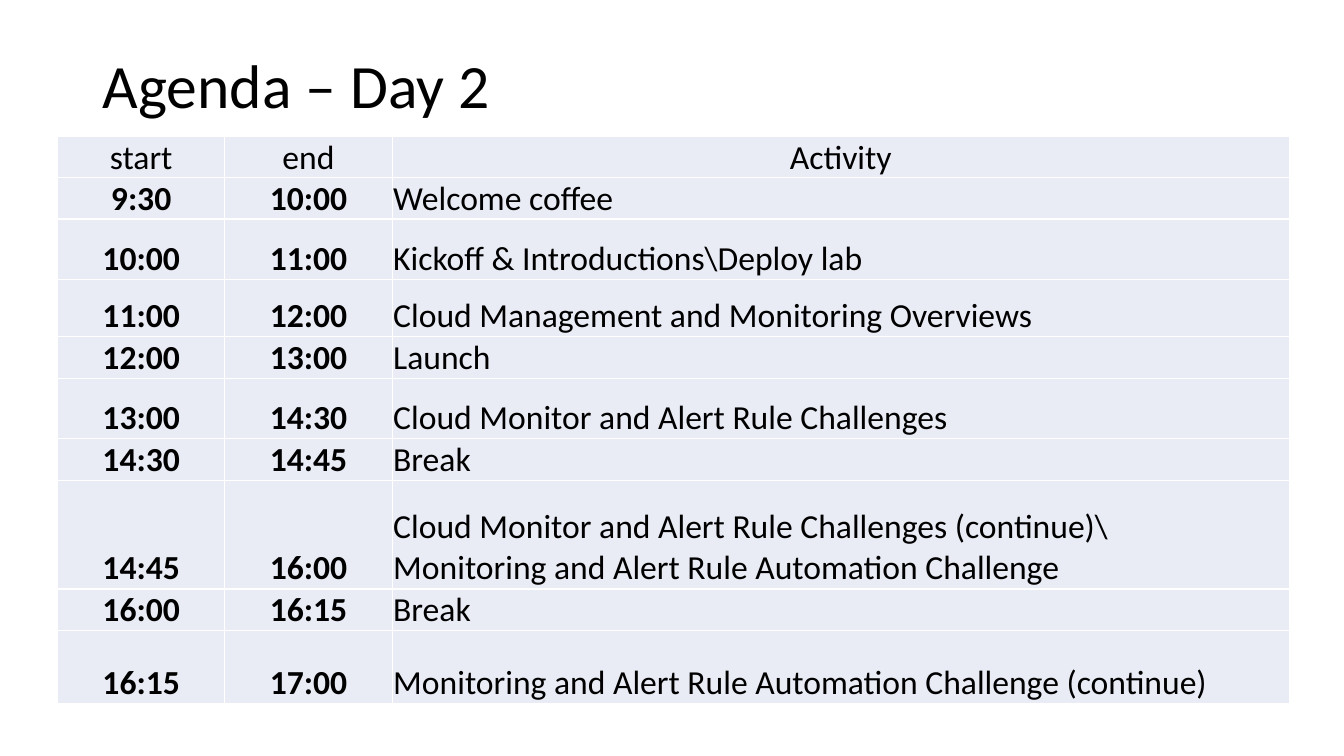
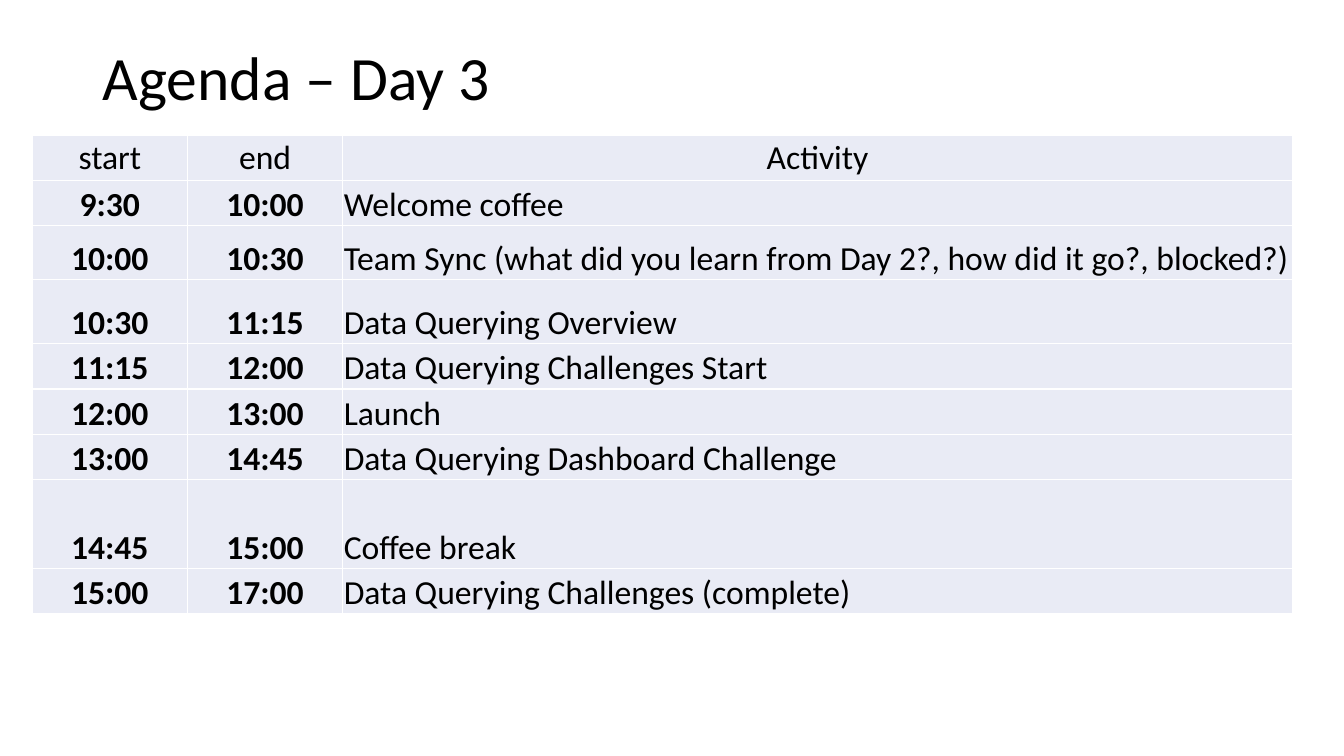
from lxml.etree import SubElement
from pptx import Presentation
from pptx.dml.color import RGBColor
from pptx.enum.text import MSO_ANCHOR, PP_ALIGN
from pptx.oxml.ns import qn
from pptx.util import Inches, Pt

# Shared look
FONT = "Calibri"
TEXT = "000000"
CELL_FILL = "E9EBF5"
BORDER = "FFFFFF"
TITLE_SIZE, TABLE_SIZE = 44, 24
TITLE_LEFT, TITLE_TOP, TITLE_WIDTH = 6.9, 5.33, 86.25  # percent of the slide
CELL_MARGIN = 0.08  # percent of the slide width

# One entry per slide; lengths are percent of the slide's width or height,
# and each row is start, end, activity, row height
agendas = [
    {
        "title": "Agenda – Day 2",
        "title_height": 12.67,
        "table_corner": (4.28, 18),
        "columns": (12.45, 12.45, 66.77),
        "rows": [
            ("start", "end", "Activity", 4.93),
            ("9:30", "10:00", "Welcome coffee", 4.93),
            ("10:00", "11:00", "Kickoff & Introductions\\Deploy lab", 8),
            ("11:00", "12:00", "Cloud Management and Monitoring Overviews", 7.6),
            ("12:00", "13:00", "Launch", 4.93),
            ("13:00", "14:30", "Cloud Monitor and Alert Rule Challenges", 8),
            ("14:30", "14:45", "Break", 4.93),
            ("14:45", "16:00", "Cloud Monitor and Alert Rule Challenges (continue)\\\n"
                               "Monitoring and Alert Rule Automation Challenge", 14.4),
            ("16:00", "16:15", "Break", 4.93),
            ("16:15", "17:00", "Monitoring and Alert Rule Automation Challenge (continue)", 9.73),
        ],
    },
    {
        "title": "Agenda – Day 3",
        "title_height": 10.53,
        "table_corner": (2.4, 17.87),
        "columns": (11.55, 11.55, 70.67),
        "rows": [
            ("start", "end", "Activity", 6),
            ("9:30", "10:00", "Welcome coffee", 6),
            ("10:00", "10:30",
             "Team Sync (what did you learn from Day 2?, how did it go?, blocked?)", 7.07),
            ("10:30", "11:15", "Data Querying Overview", 8.53),
            ("11:15", "12:00", "Data Querying Challenges Start", 6),
            ("12:00", "13:00", "Launch", 6),
            ("13:00", "14:45", "Data Querying Dashboard Challenge", 6),
            ("14:45", "15:00", "Coffee break", 11.73),
            ("15:00", "17:00", "Data Querying Challenges (complete)", 6),
        ],
    },
]

presentation = Presentation()
presentation.slide_width = Inches(13.33)
presentation.slide_height = Inches(7.5)
across = presentation.slide_width / 100
down = presentation.slide_height / 100


def color(hex_string):
    return RGBColor.from_string(hex_string)


def add_run(paragraph, text, size, bold=False):
    run = paragraph.add_run()
    run.text = text
    run.font.name = FONT
    run.font.size = Pt(size)
    run.font.bold = bold
    run.font.color.rgb = color(TEXT)


for agenda in agendas:
    slide = presentation.slides.add_slide(presentation.slide_layouts[6])

    # Title
    title = slide.shapes.add_textbox(
        int(TITLE_LEFT * across), int(TITLE_TOP * down),
        int(TITLE_WIDTH * across), int(agenda["title_height"] * down))
    title.text_frame.word_wrap = True
    title.text_frame.vertical_anchor = MSO_ANCHOR.MIDDLE
    paragraph = title.text_frame.paragraphs[0]
    paragraph.line_spacing = 0.9
    add_run(paragraph, agenda["title"], TITLE_SIZE)

    # Table grid
    rows, columns = agenda["rows"], agenda["columns"]
    left, top = agenda["table_corner"]
    table = slide.shapes.add_table(
        len(rows), len(columns), int(left * across), int(top * down),
        int(sum(columns) * across), int(sum(row[-1] for row in rows) * down)).table
    table.first_row = False
    table.horz_banding = False
    for column, width in zip(table.columns, columns):
        column.width = int(width * across)

    # Table cells
    for row_index, (*texts, height) in enumerate(rows):
        table.rows[row_index].height = int(height * down)
        is_header = row_index == 0
        for column_index, text in enumerate(texts):
            is_time = column_index < 2
            cell = table.cell(row_index, column_index)
            cell.margin_left = cell.margin_right = cell.margin_top = int(CELL_MARGIN * across)
            cell.margin_bottom = 0
            cell.vertical_anchor = MSO_ANCHOR.MIDDLE if is_header else MSO_ANCHOR.BOTTOM

            # Borders come before the fill in the cell's XML
            properties = cell._tc.get_or_add_tcPr()
            for side in ("a:lnL", "a:lnR", "a:lnT", "a:lnB"):
                line = SubElement(properties, qn(side), w=str(Pt(1)))
                line_fill = SubElement(line, qn("a:solidFill"))
                SubElement(line_fill, qn("a:srgbClr"), val=BORDER)
            cell.fill.solid()
            cell.fill.fore_color.rgb = color(CELL_FILL)

            for line_index, line_text in enumerate(text.split("\n")):
                frame = cell.text_frame
                paragraph = frame.add_paragraph() if line_index else frame.paragraphs[0]
                paragraph.alignment = PP_ALIGN.CENTER if is_header or is_time else PP_ALIGN.LEFT
                add_run(paragraph, line_text, TABLE_SIZE, bold=is_time and not is_header)

presentation.save("out.pptx")
